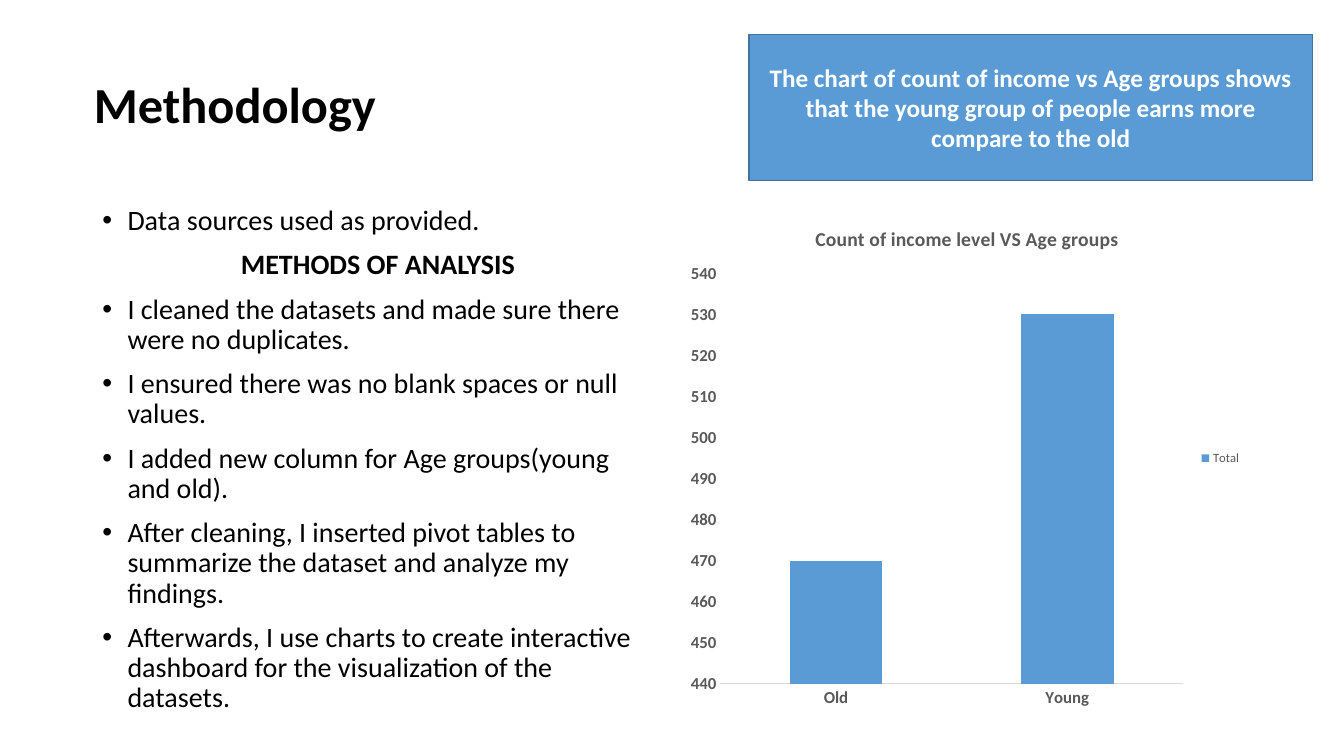
from lxml.etree import SubElement
from pptx import Presentation
from pptx.chart.data import CategoryChartData
from pptx.dml.color import RGBColor
from pptx.enum.chart import XL_CHART_TYPE, XL_LEGEND_POSITION, XL_TICK_MARK
from pptx.enum.shapes import MSO_SHAPE
from pptx.enum.text import MSO_ANCHOR, PP_ALIGN
from pptx.oxml import parse_xml
from pptx.oxml.ns import nsdecls, qn
from pptx.util import Inches, Pt

BLACK, WHITE, GREY, PALE = "000000", "FFFFFF", "595959", "D9D9D9"
BLUE, EDGE = "5B9BD5", "43739E"
COLS, ROWS = 160, 90  # grid cells of 1/12 inch


def rgb(code):
    return RGBColor.from_string(code)


class Page:
    face = "Calibri"

    def __init__(self, deck):
        self.wide, self.high = deck.slide_width, deck.slide_height
        self.slide = deck.slides.add_slide(deck.slide_layouts[6])

    def place(self, col, row, cols, rows):
        return (round(col * self.wide / COLS), round(row * self.high / ROWS),
                round(cols * self.wide / COLS), round(rows * self.high / ROWS))

    def style(self, font, size, color, bold=False):
        font.name, font.size, font.bold = self.face, Pt(size), bold
        font.color.rgb = rgb(color)

    def add_run(self, para, text, size, color, bold=False):
        run = para.add_run()
        run.text = text
        self.style(run.font, size, color, bold)

    def text(self, area, anchor=MSO_ANCHOR.TOP):
        frame = self.slide.shapes.add_textbox(*self.place(*area)).text_frame
        frame.word_wrap = True
        frame.vertical_anchor = anchor
        return frame

    def title(self, area, text):
        para = self.text(area, MSO_ANCHOR.MIDDLE).paragraphs[0]
        para.line_spacing = 0.9
        para.alignment = PP_ALIGN.JUSTIFY
        self.add_run(para, text, 36, BLACK, True)

    def body(self, area, items):
        frame = self.text(area)
        for i, (text, head) in enumerate(items):
            para = frame.add_paragraph() if i else frame.paragraphs[0]
            para.line_spacing, para.space_before = 0.9, Pt(10)
            if head:
                para.alignment = PP_ALIGN.CENTER
            else:
                self.bullet(para)
            self.add_run(para, text, 20, BLACK, head)

    def bullet(self, para):
        props = para._p.get_or_add_pPr()
        props.set("marL", str(Inches(0.25)))
        props.set("indent", str(-Inches(0.25)))
        SubElement(props, qn("a:buFont")).set("typeface", "Arial")
        SubElement(props, qn("a:buChar")).set("char", "•")

    def panel(self, area, text):
        box = self.slide.shapes.add_shape(MSO_SHAPE.RECTANGLE, *self.place(*area))
        box.shadow.inherit = False
        box.fill.solid()
        box.fill.fore_color.rgb = rgb(BLUE)
        box.line.color.rgb, box.line.width = rgb(EDGE), Pt(1)
        frame = box.text_frame
        frame.word_wrap, frame.vertical_anchor = True, MSO_ANCHOR.MIDDLE
        para = frame.paragraphs[0]
        para.alignment = PP_ALIGN.CENTER
        self.add_run(para, text, 18, WHITE, True)

    def fix(self, node, index, **parts):
        """Set the layout of a chart part in shares of the chart."""
        for old in node.findall(qn("c:layout")):
            node.remove(old)
        tags = "".join(f'<c:{k} val="{v}"/>' for k, v in parts.items())
        node.insert(index, parse_xml(
            f'<c:layout {nsdecls("c")}><c:manualLayout>{tags}'
            '</c:manualLayout></c:layout>'))

    def chart(self, area, title, cats, name, vals):
        data = CategoryChartData(number_format="0")
        data.categories = cats
        data.add_series(name, vals)
        chart = self.slide.shapes.add_chart(
            XL_CHART_TYPE.COLUMN_STACKED, *self.place(*area), data).chart
        self.style(chart.font, 10, BLACK)

        # Title
        chart.has_title = True
        head = chart.chart_title
        self.add_run(head.text_frame.paragraphs[0], title, 14, GREY, True)
        self.fix(head._element, 1, xMode="edge", yMode="edge", x=0.23, y=0.04)

        # Columns
        plot = chart.plots[0]
        plot.vary_by_categories = False
        plot.gap_width, plot.overlap = 150, 100
        fill = plot.series[0].format.fill
        fill.solid()
        fill.fore_color.rgb = rgb(BLUE)
        self.fix(chart._chartSpace.chart.plotArea, 0, layoutTarget="inner",
                 xMode="edge", yMode="edge", x=0.07, y=0.14, w=0.81, h=0.8)

        # Axes
        for axis in (chart.category_axis, chart.value_axis):
            axis.major_tick_mark = axis.minor_tick_mark = XL_TICK_MARK.NONE
            axis.has_major_gridlines = False
            self.style(axis.tick_labels.font, 12, GREY, True)
        base = chart.category_axis.format.line
        base.color.rgb, base.width = rgb(PALE), Pt(0.75)
        scale = chart.value_axis
        scale.format.line.fill.background()
        scale.minimum_scale, scale.maximum_scale = 440, 540
        scale.major_unit = 10
        scale.tick_labels.number_format = "0"
        scale.tick_labels.number_format_is_linked = False

        # Legend
        chart.has_legend = True
        chart.legend.position = XL_LEGEND_POSITION.RIGHT
        chart.legend.include_in_layout = False
        self.style(chart.legend.font, 9, GREY)


def main():
    deck = Presentation()
    deck.slide_width, deck.slide_height = Inches(13.33), Inches(7.5)
    page = Page(deck)

    # Left side: heading and steps
    page.title((10, 4.08, 138, 17.4), "Methodology")
    page.body((11, 24, 68, 60), [
        ("Data sources used as provided.", False),
        ("METHODS OF ANALYSIS", True),
        ("I cleaned the datasets and made sure there were no duplicates.", False),
        ("I ensured there was no blank spaces or null values.", False),
        ("I added new column for Age groups(young and old).", False),
        ("After cleaning, I inserted pivot tables to summarize the dataset "
         "and analyze my findings.", False),
        ("Afterwards, I use charts to create interactive dashboard for the "
         "visualization of the datasets.", False),
    ])

    # Right side: chart and finding
    page.chart((81, 24, 68, 61.08), "Count of income level VS Age groups",
               ["Old", "Young"], "Total", [470, 530])
    page.panel((89.16, 4.08, 67.08, 17.4),
               "The chart of count of income vs Age groups shows that the young "
               "group of people earns more compare to the old")
    deck.save("out.pptx")


if __name__ == "__main__":
    main()
